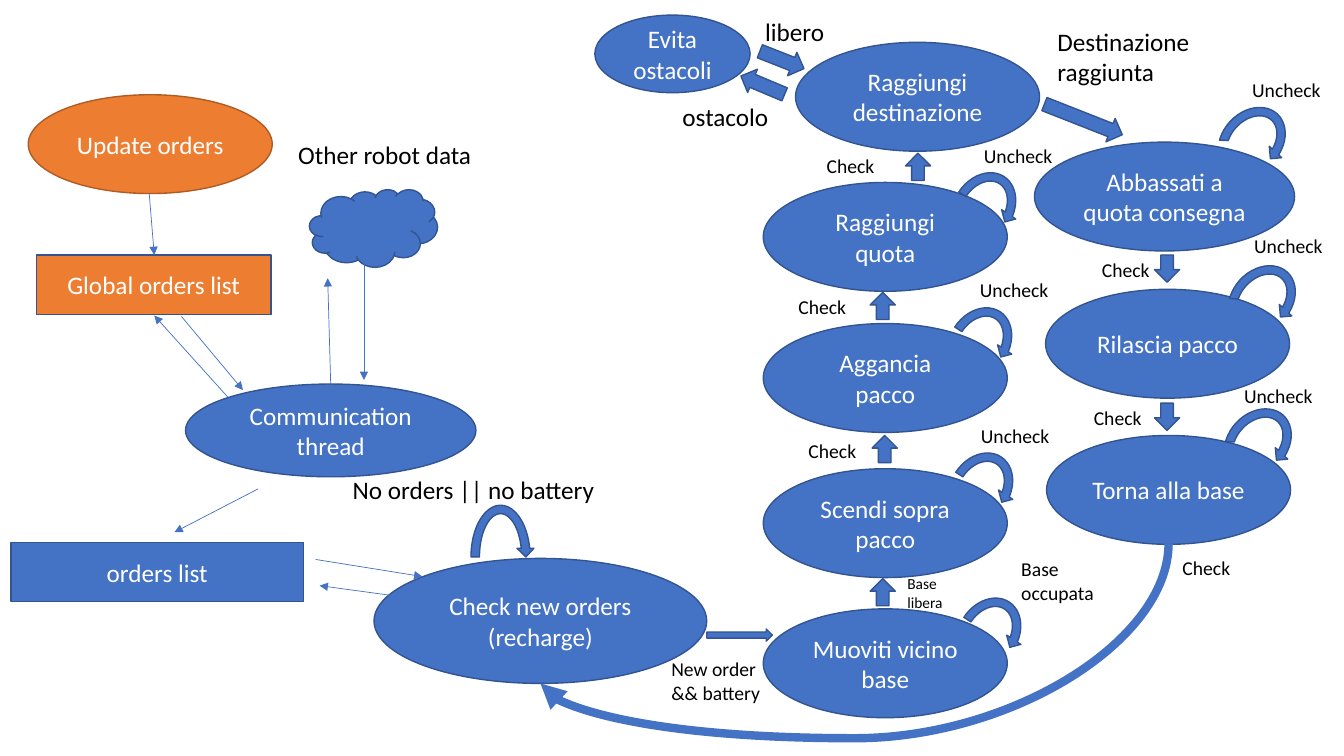
import lxml.etree
import pptx
import pptx.dml.color
import pptx.enum.shapes
import pptx.enum.text
import pptx.oxml.ns
import pptx.util

PX = 9144
SHAPES = pptx.enum.shapes.MSO_SHAPE
CONNECTORS = pptx.enum.shapes.MSO_CONNECTOR
THEME = {
    "font": "Calibri",
    "blue": pptx.dml.color.RGBColor.from_string("4472C4"),
    "orange": pptx.dml.color.RGBColor.from_string("ED7D31"),
    "outline": pptx.dml.color.RGBColor.from_string("325491"),
    "orange_outline": pptx.dml.color.RGBColor.from_string("AF5C24"),
    "light": pptx.dml.color.RGBColor.from_string("FFFFFF"),
    "dark": pptx.dml.color.RGBColor.from_string("000000"),
    "large": 18,
    "medium": 14,
    "small": 11,
}

presentation = pptx.Presentation()
presentation.slide_width = 1333 * PX
presentation.slide_height = 750 * PX
slide = presentation.slides.add_slide(presentation.slide_layouts[6])


def write_text(shape, text, size, color, alignment):
    shape.text_frame.text = text
    for paragraph in shape.text_frame.paragraphs:
        paragraph.alignment = alignment
        for run in paragraph.runs:
            run.font.name = THEME["font"]
            run.font.size = pptx.util.Pt(THEME[size])
            run.font.color.rgb = THEME[color]


def add_block(preset, box, fill="blue", outline="outline", rotation=0):
    shape = slide.shapes.add_shape(preset, *[length * PX for length in box])
    shape.shadow.inherit = False
    shape.fill.solid()
    shape.fill.fore_color.rgb = THEME[fill]
    shape.line.color.rgb = THEME[outline]
    shape.line.width = pptx.util.Pt(1)
    shape.rotation = rotation
    return shape


STATE_WIDTH, STATE_HEIGHT = 242, 108
PICKUP_LEFT = 757
nodes = [
    (SHAPES.OVAL, (371, 554, 330, 124), "Check new orders\n(recharge)", "blue", "outline"),
    (SHAPES.RECTANGLE, (11, 538, 290, 59), "orders list", "blue", "outline"),
    (SHAPES.OVAL, (28, 94, 242, 98), "Update orders", "orange", "orange_outline"),
    (SHAPES.RECTANGLE, (36, 253, 233, 59), "Global orders list", "orange", "outline"),
    (SHAPES.OVAL, (184, 381, 288, 92), "Communication thread", "blue", "outline"),
    (SHAPES.CLOUD, (307, 188, 127, 77), "", "blue", "outline"),
    (SHAPES.OVAL, (590, 15, 154, 77), "Evita ostacoli", "blue", "outline"),
    (SHAPES.OVAL, (1026, 141, 258, STATE_HEIGHT), "Abbassati a quota consegna", "blue", "outline"),
]
states = [
    (PICKUP_LEFT, 604, "Muoviti vicino base"),
    (PICKUP_LEFT, 465, "Scendi sopra pacco"),
    (PICKUP_LEFT, 321, "Aggancia pacco"),
    (PICKUP_LEFT, 181, "Raggiungi quota"),
    (789, 42, "Raggiungi destinazione"),
    (1037, 287, "Rilascia pacco"),
    (1038, 432, "Torna alla base"),
]
for left, top, text in states:
    nodes.append((SHAPES.OVAL, (left, top, STATE_WIDTH, STATE_HEIGHT), text, "blue", "outline"))
for preset, box, text, fill, outline in nodes:
    node = add_block(preset, box, fill, outline)
    if text:
        node.text_frame.word_wrap = True
        node.text_frame.vertical_anchor = pptx.enum.text.MSO_ANCHOR.MIDDLE
        write_text(node, text, "large", "light", pptx.enum.text.PP_ALIGN.CENTER)

for left, top, rotation in [
    (862, 575, 270), (864, 433, 270), (862, 291, 270), (897, 153, 270),
    (1144, 254, 90), (1144, 401, 90),
]:
    add_block(SHAPES.RIGHT_ARROW, (left, top, 27, 25), rotation=rotation)
add_block(SHAPES.RIGHT_ARROW, (701, 624, 65, 12))
for left, top, width, rotation in [(733, 72, 47, 202.8), (752, 47, 47, 21.5), (1033, 106, 83, 21.5)]:
    arrow = add_block(SHAPES.RIGHT_ARROW, (left, top, width, 25), rotation=rotation)
    arrow.adjustments[0] = 0.557

add_block(SHAPES.CIRCULAR_ARROW, (463, 497, 67, 111))
for left, top in [(947, 587), (939, 443), (938, 299), (942, 165)]:
    add_block(SHAPES.CIRCULAR_ARROW, (left, top, 67, 83), rotation=33.1)
for left, top in [(1208, 99), (1218, 256), (1214, 398)]:
    loop = add_block(SHAPES.CIRCULAR_ARROW, (left, top, 67, 83), rotation=42.7)
    loop.adjustments[3] = 83.815

RETURN_PATH = (778, 297, 917, 920)
links = [
    (405, 593, 317, 581),
    (313, 555, 419, 572),
    (148, 192, 153, 253),
    (226, 394, 153, 313),
    (180, 314, 241, 387),
    (328, 381, 325, 276),
    (361, 248, 361, 377),
    (256, 485, 173, 528),
    RETURN_PATH,
]
for ends in links:
    is_return = ends == RETURN_PATH
    kind = CONNECTORS.CURVE if is_return else CONNECTORS.STRAIGHT
    connector = slide.shapes.add_connector(kind, *[length * PX for length in ends])
    connector.line.color.rgb = THEME["blue"]
    connector.line.width = pptx.util.Pt(6 if is_return else 0.5)
    properties = connector._element.spPr
    outline = properties.find(pptx.oxml.ns.qn("a:ln"))
    lxml.etree.SubElement(outline, pptx.oxml.ns.qn("a:tailEnd"), type="triangle")
    lxml.etree.SubElement(properties, pptx.oxml.ns.qn("a:effectLst"))
    if is_return:
        properties.find(pptx.oxml.ns.qn("a:xfrm")).set("rot", "5400000")
        guides = next(properties.iter(pptx.oxml.ns.qn("a:avLst")))
        lxml.etree.SubElement(guides, pptx.oxml.ns.qn("a:gd"), name="adj1", fmla="val 139100")

labels = [
    ((340, 466, 263, 40), "No orders || no battery", "large"),
    ((667, 96, 106, 40), "ostacolo", "large"),
    ((749, 11, 79, 40), "libero", "large"),
    ((1039, 21, 153, 71), "Destinazione\nraggiunta", "large"),
    ((286, 133, 194, 40), "Other robot data", "large"),
    ((656, 647, 112, 57), "New order\n&& battery", "medium"),
    ((1003, 548, 95, 57), "Base occupata", "medium"),
    ((890, 565, 59, 47), "Base libera", "small"),
]
for left, top in [(792, 431), (782, 288), (810, 148), (1083, 251), (1075, 398), (1163, 547)]:
    labels.append(((left, top, 73, 34), "Check", "medium"))
for left, top in [(963, 416), (962, 271), (966, 138), (1232, 72), (1234, 227), (1224, 376)]:
    labels.append(((left, top, 95, 34), "Uncheck", "medium"))
for box, text, size in labels:
    label = slide.shapes.add_textbox(*[length * PX for length in box])
    label.text_frame.word_wrap = size != "large"
    label.text_frame.auto_size = pptx.enum.text.MSO_AUTO_SIZE.SHAPE_TO_FIT_TEXT
    write_text(label, text, size, "dark", pptx.enum.text.PP_ALIGN.LEFT)

presentation.save("out.pptx")
